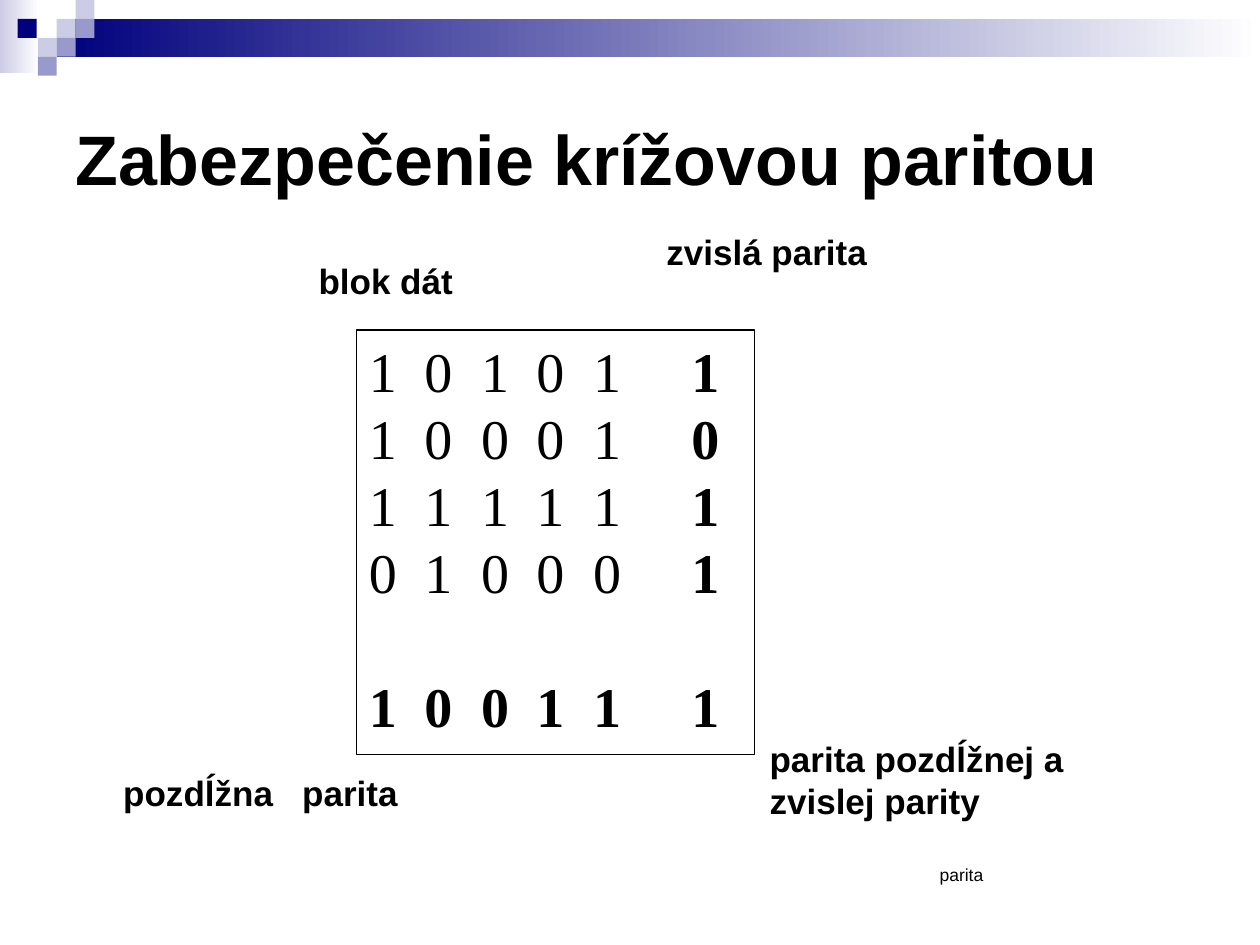
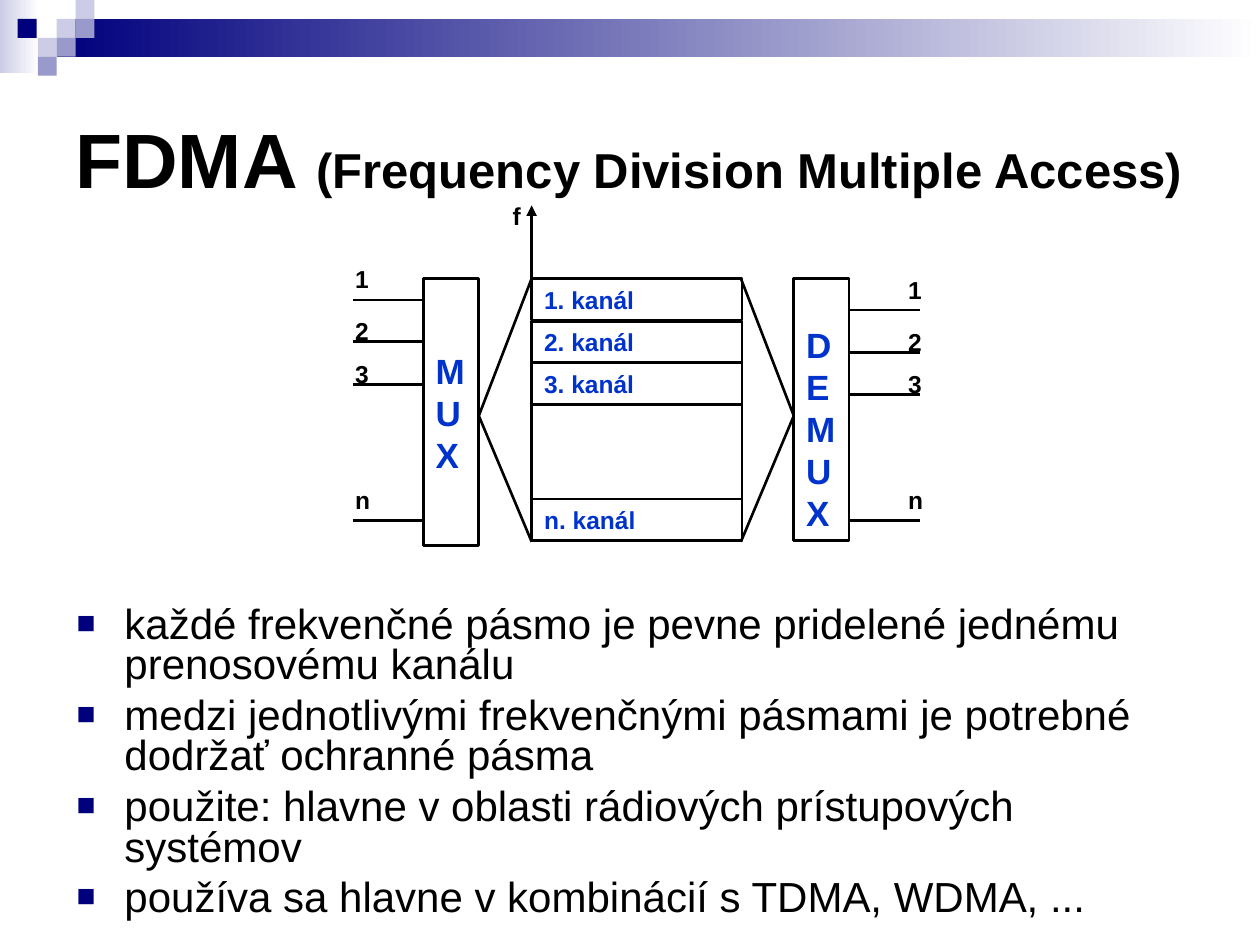
from dataclasses import dataclass

from lxml import etree
from pptx import Presentation
from pptx.dml.color import RGBColor
from pptx.enum.shapes import MSO_CONNECTOR, MSO_SHAPE
from pptx.enum.text import MSO_ANCHOR
from pptx.oxml.ns import qn
from pptx.util import Inches, Pt


@dataclass(frozen=True)
class Theme:
    black: str = "000000"
    white: str = "FFFFFF"
    navy: str = "00007D"
    lilac: str = "9999CC"
    pale: str = "CCCCE6"
    blue: str = "0033CC"
    sans: str = "Arial"
    serif: str = "Times New Roman"
    title: int = 40
    acronym: int = 44
    expansion: int = 28
    matrix: int = 32
    body: int = 24
    label: int = 20
    channel: int = 14
    small: int = 10


THEME = Theme()


def add_text(slide, at, paragraphs=(), *, size=THEME.label, color=THEME.black, font=THEME.sans,
             bold=True, fill=None, line=None, anchor=MSO_ANCHOR.TOP, top=0.05, before=(),
             spacing=None, bullet=None, tabs=()):
    """Add a rectangle; each paragraph is a string or a list of (text, format) runs.

    fill is one colour or a pair for a gradient, line is a width in points, and
    before gives the space above each paragraph after the first.
    """
    box = slide.shapes.add_shape(MSO_SHAPE.RECTANGLE, *map(Inches, at))
    box.shadow.inherit = False
    if fill is None:
        box.fill.background()
    elif isinstance(fill, tuple):
        box.fill.gradient()
        box.fill.gradient_angle = 0
        for stop, stop_color in zip(box.fill.gradient_stops, fill):
            stop.color.rgb = RGBColor.from_string(stop_color)
    else:
        box.fill.solid()
        box.fill.fore_color.rgb = RGBColor.from_string(fill)
    if line:
        box.line.color.rgb = RGBColor.from_string(THEME.black)
        box.line.width = Pt(line)
    else:
        box.line.fill.background()

    frame = box.text_frame
    frame.word_wrap = True
    frame.vertical_anchor = anchor
    frame.margin_left = frame.margin_right = Inches(0.1)
    frame.margin_top, frame.margin_bottom = Inches(top), Inches(0.05)
    for index, runs in enumerate(paragraphs):
        paragraph = frame.paragraphs[0] if index == 0 else frame.add_paragraph()
        paragraph.alignment = 1
        if spacing:
            paragraph.line_spacing = spacing
        if index and before:
            paragraph.space_before = Pt(before[index - 1])
        properties = paragraph._p.get_or_add_pPr()
        if bullet:
            properties.set("marL", str(Inches(0.38)))
            properties.set("indent", str(-Inches(0.38)))
            bullet_color = etree.SubElement(properties, qn("a:buClr"))
            etree.SubElement(bullet_color, qn("a:srgbClr"), val=THEME.navy)
            etree.SubElement(properties, qn("a:buSzPct"), val="75000")
            etree.SubElement(properties, qn("a:buFont"), typeface=THEME.sans)
            etree.SubElement(properties, qn("a:buChar"), char=bullet)
        if tabs:
            stops = etree.SubElement(properties, qn("a:tabLst"))
            for tab in tabs:
                etree.SubElement(stops, qn("a:tab"), pos=str(Inches(tab)), algn="l")
        for text, own in [(runs, {})] if isinstance(runs, str) else runs:
            run = paragraph.add_run()
            run.text = text
            run.font.name = font
            run.font.size = Pt(own.get("size", size))
            run.font.bold = own.get("bold", bold)
            run.font.color.rgb = RGBColor.from_string(color)


def add_rule(slide, start, end, arrow=False):
    rule = slide.shapes.add_connector(MSO_CONNECTOR.STRAIGHT, *map(Inches, (*start, *end)))
    rule.line.color.rgb = RGBColor.from_string(THEME.black)
    rule.line.width = Pt(1.5)
    if arrow:
        etree.SubElement(rule.line._get_or_add_ln(), qn("a:tailEnd"), type="triangle")
    etree.SubElement(rule._element.spPr, qn("a:effectLst"))


presentation = Presentation()
presentation.slide_width, presentation.slide_height = Inches(10), Inches(7.5)
blank = presentation.slide_layouts[6]

# Shared header band and titles
titles = [
    (9, [("Zabezpečenie krížovou paritou", {"size": THEME.title})]),
    (9.5, [("FDMA ", {"size": THEME.acronym}),
           ("(Frequency Division Multiple Access)", {"size": THEME.expansion})]),
]
mosaic = [
    (0.45, 0.15, THEME.pale), (0.6, 0, THEME.pale), (0.6, 0.15, THEME.lilac),
    (0.3, 0.3, THEME.pale), (0.14, 0.15, THEME.navy), (0.45, 0.3, THEME.lilac),
    (0.3, 0.45, THEME.lilac),
]
for title_width, title in titles:
    slide = presentation.slides.add_slide(blank)
    add_text(slide, (0, 0, 0.31, 0.58), fill=(THEME.pale, THEME.white))
    add_text(slide, (0.45, 0.15, 9.55, 0.3), fill=(THEME.navy, THEME.white))
    for left, tile_top, tile_color in mosaic:
        add_text(slide, (left, tile_top, 0.15, 0.15), fill=tile_color)
    add_text(slide, (0.5, 0.5, title_width, 1.5), [title], anchor=MSO_ANCHOR.MIDDLE)
parity, fdma = presentation.slides

# Cross parity
parity_labels = [
    ((0.88, 6.07, 3.36, 0.74), "pozdĺžna\tparita"),
    ((6.01, 5.8, 3.34, 1.12), "parita pozdĺžnej a zvislej parity"),
    ((5.19, 1.78, 2.35, 0.69), "zvislá parita"),
    ((2.43, 2.01, 2.05, 0.71), "blok dát"),
]
for at, label in parity_labels:
    add_text(parity, at, [label], fill=THEME.white, tabs=[1.42])

data_block = [("10101", "1"), ("10001", "0"), ("11111", "1"), ("01000", "1")]
bit_rows = [[("\t".join(bits) + "\t", {}), (check, {"bold": True})] for bits, check in data_block]
bit_rows.append([("\t".join("100111"), {"bold": True})])
bit_tabs = [round(0.4445 * column, 2) for column in range(1, 5)] + [2.56]
add_text(parity, (2.83, 2.62, 3.16, 3.37), bit_rows, size=THEME.matrix, font=THEME.serif,
         bold=False, fill=THEME.white, line=0.75, before=(0, 0, 0, 38), tabs=bit_tabs)
add_text(parity, (7.36, 6.81, 1.5, 0.27), ["parita"], size=THEME.small, bold=False)

# FDMA
principles = [
    "každé frekvenčné pásmo je pevne pridelené jednému prenosovému kanálu",
    "medzi jednotlivými frekvenčnými pásmami je potrebné dodržať ochranné pásma",
    "použite: hlavne v oblasti rádiových prístupových systémov",
    "používa sa hlavne v kombinácií s TDMA, WDMA, ...",
]
add_text(fdma, (0.51, 4.77, 9, 2.73), principles, size=THEME.body, bold=False,
         before=(6, 6, 6), spacing=0.8, bullet="■")

band_left, band_right, band_top, band_bottom = 4.22, 5.88, 2.21, 4.3
mux_right, demux_left, apex = 3.8, 6.3, 3.3
add_text(fdma, (3.36, band_top, 0.44, 2.12), ["MUX"], color=THEME.blue, line=1.5, top=0.56)
add_text(fdma, (demux_left, band_top, 0.44, 2.08), ["DEMUX"], color=THEME.blue, line=1.5, top=0.36)

channels = [(2.21, "1. kanál"), (2.55, "2. kanál"), (2.88, "3. kanál"), (3.96, "n. kanál")]
for channel_top, channel in channels:
    add_text(fdma, (band_left, channel_top, 1.67, 0.33), [channel], size=THEME.channel,
             color=THEME.blue, line=1.5)
add_text(fdma, (band_left, 3.21, 1.67, 0.75), line=1.5)

add_rule(fdma, (band_left, band_top), (band_left, 1.63), arrow=True)
add_text(fdma, (3.97, 1.55, 0.42, 0.33), ["f"], size=THEME.channel)
for band_side, apex_x in [(band_left, mux_right), (band_right, demux_left)]:
    for corner_y in (band_top, band_bottom):
        add_rule(fdma, (band_side, corner_y), (apex_x, apex))

# Ports: line start, label left, line heights, label tops
port_sides = [
    (2.8, 2.72, (2.38, 2.71, 3.05, 4.13), (2.05, 2.46, 2.8, 3.8)),
    (6.74, 7.11, (2.46, 2.8, 3.13, 4.13), (2.13, 2.55, 2.88, 3.8)),
]
for port_x, number_x, port_heights, number_tops in port_sides:
    for number, port_y, number_top in zip("123n", port_heights, number_tops):
        add_rule(fdma, (port_x, port_y), (port_x + 0.56, port_y))
        add_text(fdma, (number_x, number_top, 0.42, 0.33), [number], size=THEME.channel)

presentation.save("out.pptx")
